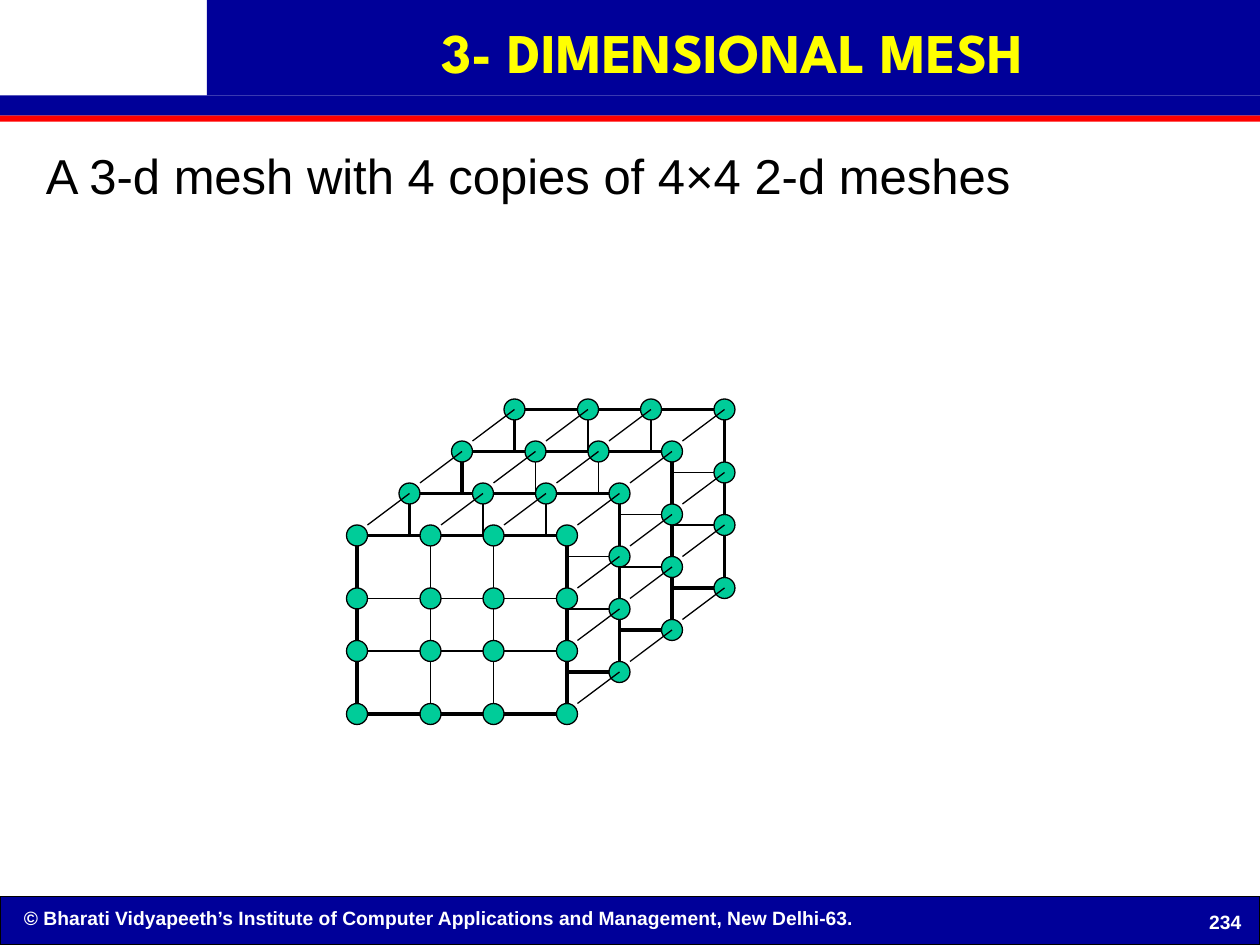
from pptx import Presentation
from pptx.dml.color import RGBColor
from pptx.enum.shapes import MSO_CONNECTOR, MSO_SHAPE
from pptx.enum.text import MSO_ANCHOR, PP_ALIGN
from pptx.oxml.ns import qn
from pptx.util import Pt
from lxml.etree import SubElement

PX = 7620
NAVY, RED, YELLOW = "000099", "FF0000", "FFFF00"
BLACK, WHITE, GREEN = "000000", "FFFFFF", "00CC99"


def color(value):
    return RGBColor.from_string(value)


def add_figure(kind, bounds, fill, outline=None):
    figure = page.shapes.add_shape(kind, *[length * PX for length in bounds])
    figure.shadow.inherit = False
    figure.fill.solid()
    figure.fill.fore_color.rgb = color(fill)
    if outline:
        figure.line.color.rgb = color(outline)
        figure.line.width = Pt(0.75)
    else:
        figure.line.fill.background()


deck = Presentation()
deck.slide_width, deck.slide_height = 1200 * PX, 900 * PX
page = deck.slides.add_slide(deck.slide_layouts[6])

bands = [
    ((0, 854, 1200, 46), NAVY, BLACK),
    ((0, 110, 1200, 6), RED, None),
    ((197, 0, 1003, 91), NAVY, None),
    ((0, 91, 1200, 19), NAVY, None),
]
for bounds, fill, outline in bands:
    add_figure(MSO_SHAPE.RECTANGLE, bounds, fill, outline)

texts = [
    ("© Bharati Vidyapeeth’s Institute of Computer Applications and Management, New Delhi-63.",
     (11, 857, 1102, 35), 12, MSO_ANCHOR.TOP, {},
     {"size": Pt(11), "name": "Arial", "bold": True}, WHITE),
    ("234", (1136, 863, 62, 29), 12, MSO_ANCHOR.MIDDLE, {"alignment": PP_ALIGN.CENTER},
     {"size": Pt(11), "name": "Arial", "bold": True}, WHITE),
    ("3- DIMENSIONAL MESH", (200, -1, 996, 108), 6, MSO_ANCHOR.MIDDLE,
     {"alignment": PP_ALIGN.CENTER, "line_spacing": 0.9},
     {"size": Pt(32), "name": "League Spartan", "bold": True}, YELLOW),
    ("A 3-d mesh with 4 copies of 4×4 2-d meshes", (32, 133, 1142, 685), 12,
     MSO_ANCHOR.TOP, {}, {"size": Pt(28), "name": "Arial", "bold": False}, BLACK),
]
for words, bounds, inset, anchor, para_format, font_format, ink in texts:
    box = page.shapes.add_textbox(*[length * PX for length in bounds])
    frame = box.text_frame
    frame_format = {
        "word_wrap": True, "vertical_anchor": anchor,
        "margin_left": inset * PX, "margin_right": inset * PX,
        "margin_top": 6 * PX, "margin_bottom": 6 * PX,
    }
    para = frame.paragraphs[0]
    span = para.add_run()
    span.text = words
    span.font.color.rgb = color(ink)
    for target, values in ((frame, frame_format), (para, para_format), (span.font, font_format)):
        for name, value in values.items():
            setattr(target, name, value)


def add_edge(x1, y1, x2, y2, width):
    edge = page.shapes.add_connector(
        MSO_CONNECTOR.STRAIGHT, x1 * PX, y1 * PX, x2 * PX, y2 * PX)
    edge.line.color.rgb = color(BLACK)
    edge.line.width = Pt(width)
    SubElement(edge._element.spPr, qn("a:effectLst"))


columns = [340, 410, 470, 540]
rows = [510, 570, 620, 680]
depth_x, depth_y, radius = 50, 40, 10
thick, thin, hairline = 2.25, 1, 0.75

for layer in (0, 3, 1, 2):
    xs = [x + layer * depth_x for x in columns]
    ys = [y - layer * depth_y for y in rows]
    for y in ys:
        start = xs[0] if layer == 0 or y == ys[0] else xs[-1] - depth_x
        add_edge(start, y, xs[-1], y, thick if y in (ys[0], ys[-1]) else thin)
    for x in xs:
        end = ys[-1] if layer == 0 or x == xs[-1] else ys[0] + depth_y
        add_edge(x, ys[0], x, end, thick if x in (xs[0], xs[-1]) else thin)
    for x in xs:
        for y in ys:
            if layer == 0 or x == xs[-1] or y == ys[0]:
                add_figure(MSO_SHAPE.OVAL, (x - radius, y - radius, 2 * radius, 2 * radius),
                           GREEN, BLACK)

for layer in range(3):
    for column in columns:
        for row in rows:
            if column == columns[-1] or row == rows[0]:
                x, y = column + layer * depth_x, row - layer * depth_y
                add_edge(x + radius, y - radius, x + depth_x, y - depth_y, hairline)

deck.save("out.pptx")
